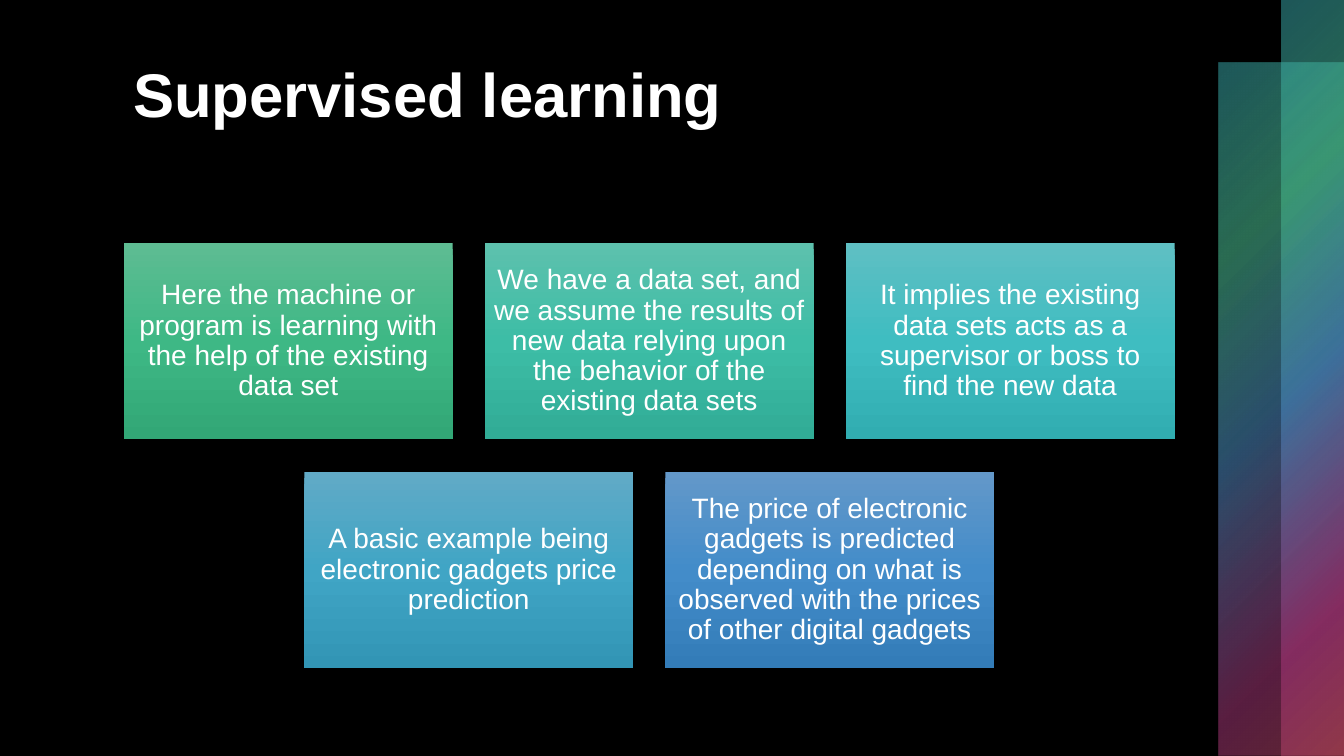
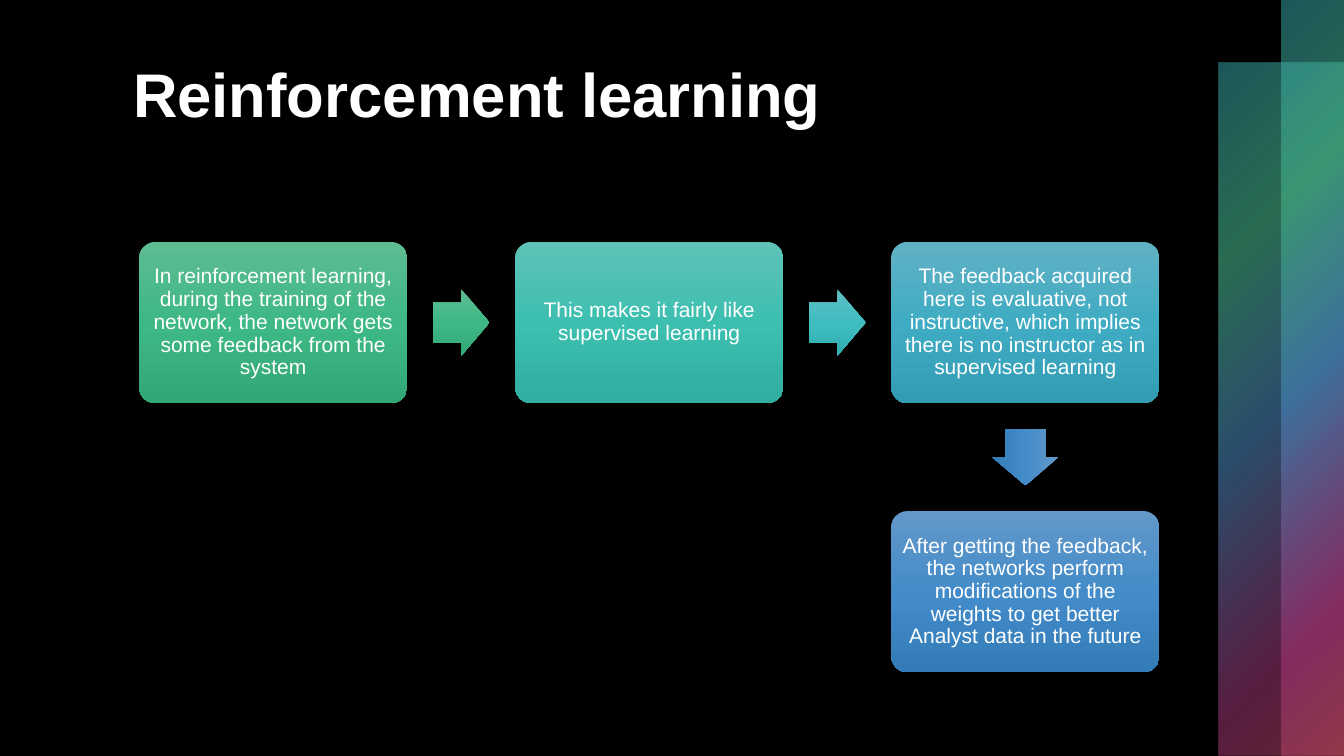
from dataclasses import dataclass

from pptx import Presentation
from pptx.dml.color import RGBColor
from pptx.enum.shapes import MSO_SHAPE
from pptx.enum.text import MSO_ANCHOR, PP_ALIGN
from pptx.oxml import parse_xml
from pptx.oxml.ns import nsdecls, qn
from pptx.util import Inches, Pt


@dataclass(frozen=True)
class Theme:
    font = "Arial"
    background = RGBColor.from_string("000000")
    text = RGBColor.from_string("FFFFFF")
    title_size = Pt(44)
    tile_size = Pt(20)
    step_size = Pt(15)
    # Light, middle and dark shade of each box colour
    green = ("5EBC93", "3EB885", "32A776")
    mint = ("5DC1AD", "3DBDA6", "31AC96")
    aqua = ("5EC2B6", "3DBFB0", "31AEA0")
    teal = ("5FBFC3", "3FBDC1", "31ADB1")
    cyan = ("61B1C4", "40ACC3", "329CB3")
    sky = ("61AAC6", "40A5C5", "3295B5")
    blue = ("6398C9", "438CC9", "337CB8")
    # Position, colour and opacity, in percent
    band = ((0, "3BADB1", 50), (25, "46B389", 60), (50, "4D8DC3", 55),
            (81, "B13B81", 50), (100, "C34D61", 50))


THEME = Theme()
VERTICAL = '<a:lin ang="5400000" scaled="0"/>'
FROM_CORNER = '<a:path path="circle"><a:fillToRect r="100000" b="100000"/></a:path>'


def add_gradient_shape(slide, kind, left, top, width, height, stops, direction=VERTICAL):
    """Add a borderless shape; stops are (position, colour, opacity) in percent."""
    shape = slide.shapes.add_shape(kind, Inches(left), Inches(top), Inches(width), Inches(height))
    shape.shadow.inherit = False
    shape.line.fill.background()
    shape.fill.gradient()
    stop_xml = "".join(
        f'<a:gs pos="{position * 1000}"><a:srgbClr val="{color}">'
        f'<a:alpha val="{opacity * 1000}"/></a:srgbClr></a:gs>'
        for position, color, opacity in stops)
    gradient = parse_xml(f'<a:gradFill {nsdecls("a")} rotWithShape="1">'
                         f'<a:gsLst>{stop_xml}</a:gsLst>{direction}</a:gradFill>')
    properties = shape._element.spPr
    properties.replace(properties.find(qn("a:gradFill")), gradient)
    return shape


def add_box(slide, kind, left, top, width, height, shades, text="", size=None, inset=0):
    """Add a shaded box or arrow with centred text."""
    stops = [(50 * index, shade, 100) for index, shade in enumerate(shades)]
    shape = add_gradient_shape(slide, kind, left, top, width, height, stops)
    if text:
        frame = shape.text_frame
        frame.word_wrap = True
        frame.vertical_anchor = MSO_ANCHOR.MIDDLE
        frame.margin_left = frame.margin_right = Inches(inset)
        frame.margin_top = frame.margin_bottom = Inches(inset)
        paragraph = frame.paragraphs[0]
        paragraph.text = text
        paragraph.alignment = PP_ALIGN.CENTER
        paragraph.line_spacing = 0.9
        paragraph.font.name = THEME.font
        paragraph.font.size = size
        paragraph.font.color.rgb = THEME.text
    return shape


presentation = Presentation()
presentation.slide_width = Inches(13.33)
presentation.slide_height = Inches(7.5)
master_fill = presentation.slide_master.background.fill
master_fill.solid()
master_fill.fore_color.rgb = THEME.background
title_only = presentation.slide_layouts[5]

# Title and side bands on every slide
slides = []
for heading in ("Supervised learning", "Reinforcement learning"):
    slide = presentation.slides.add_slide(title_only)
    for left, top, width in ((12.09, 0.62, 1.24), (12.71, 0, 0.62)):
        add_gradient_shape(slide, MSO_SHAPE.RECTANGLE, left, top, width, 7.5 - top,
                           THEME.band, FROM_CORNER)
    title = slide.shapes.title
    title.left, title.top = Inches(1.22), Inches(0.5)
    title.width, title.height = Inches(10.37), Inches(1.7)
    title.text_frame.vertical_anchor = MSO_ANCHOR.TOP
    paragraph = title.text_frame.paragraphs[0]
    paragraph.text = heading
    paragraph.alignment = PP_ALIGN.LEFT
    paragraph.font.name = THEME.font
    paragraph.font.size = THEME.title_size
    paragraph.font.bold = True
    paragraph.font.color.rgb = THEME.text
    slides.append(slide)
supervised, reinforcement = slides

# Supervised learning: centred rows of tiles
tile_rows = (
    (("Here the machine or program is learning with the help of the existing data set",
      THEME.green),
     ("We have a data set, and we assume the results of new data relying upon the behavior "
      "of the existing data sets", THEME.mint),
     ("It implies the existing data sets acts as a supervisor or boss to find the new data",
      THEME.teal)),
    (("A basic example being electronic gadgets price prediction", THEME.sky),
     ("The price of electronic gadgets is predicted depending on what is observed with the "
      "prices of other digital gadgets", THEME.blue)),
)
tile_width, tile_height, tile_gap, tiles_center = 3.26, 1.95, 0.32, 6.44
for row, tiles in enumerate(tile_rows):
    row_width = len(tiles) * (tile_width + tile_gap) - tile_gap
    for column, (text, shades) in enumerate(tiles):
        left = tiles_center - row_width / 2 + column * (tile_width + tile_gap)
        top = 2.41 + row * (tile_height + tile_gap)
        add_box(supervised, MSO_SHAPE.RECTANGLE, left, top, tile_width, tile_height,
                shades, text, THEME.tile_size, 0.08)

# Reinforcement learning: steps run right, then down
steps = (
    (0, 0, THEME.green, "In reinforcement learning, during the training of the network, "
     "the network gets some feedback from the system"),
    (1, 0, THEME.aqua, "This makes it fairly like supervised learning"),
    (2, 0, THEME.cyan, "The feedback acquired here is evaluative, not instructive, which "
     "implies there is no instructor as in supervised learning"),
    (2, 1, THEME.blue, "After getting the feedback, the networks perform modifications of "
     "the weights to get better Analyst data in the future"),
)
step_width, step_height, step_gap = 2.66, 1.6, 1.07
arrow_width, arrow_height = 0.56, 0.66
centers = []
for column, row, shades, text in steps:
    left = 1.38 + column * (step_width + step_gap)
    top = 2.4 + row * (step_height + step_gap)
    box = add_box(reinforcement, MSO_SHAPE.ROUNDED_RECTANGLE, left, top, step_width,
                  step_height, shades, text, THEME.step_size, 0.06)
    box.adjustments[0] = 0.1
    centers.append((left + step_width / 2, top + step_height / 2))

arrow_shades = (THEME.green, THEME.teal, THEME.blue)
for (start_x, start_y), (end_x, end_y), shades in zip(centers, centers[1:], arrow_shades):
    arrow = add_box(reinforcement, MSO_SHAPE.RIGHT_ARROW,
                    (start_x + end_x - arrow_width) / 2, (start_y + end_y - arrow_height) / 2,
                    arrow_width, arrow_height, shades)
    arrow.adjustments[0], arrow.adjustments[1] = 0.6, 0.5
    arrow.rotation = 90 if end_y > start_y else 0

presentation.save("out.pptx")
